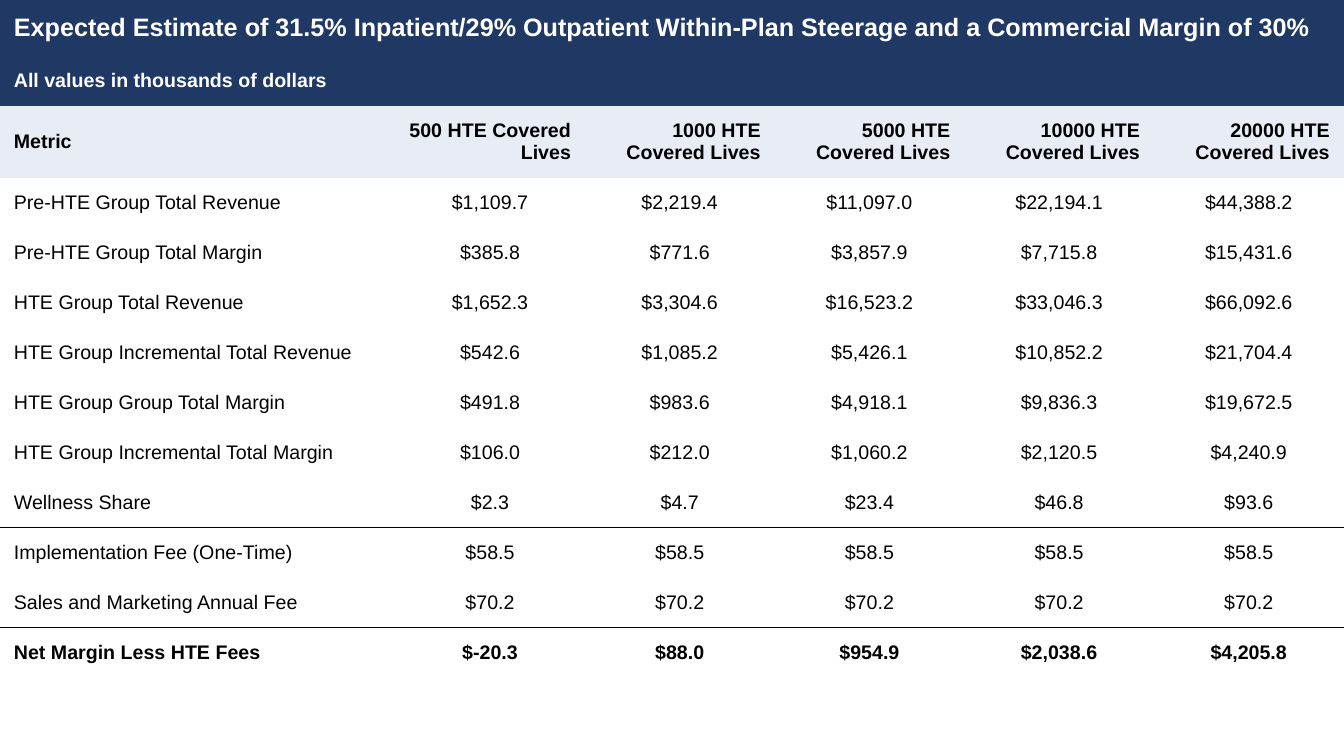
from lxml.etree import SubElement
from pptx import Presentation
from pptx.dml.color import RGBColor
from pptx.enum.text import MSO_ANCHOR as ANCHOR, PP_ALIGN as ALIGN
from pptx.oxml.ns import qn
from pptx.util import Cm, Pt

TITLE = ("Expected Estimate of 31.5% Inpatient/29% Outpatient Within-Plan Steerage "
         "and a Commercial Margin of 30%")
SUBTITLE = "All values in thousands of dollars"
LIVES = [500, 1000, 5000, 10000, 20000]
METRICS = [
    ("Pre-HTE Group Total Revenue", "$1,109.7", "$2,219.4", "$11,097.0", "$22,194.1", "$44,388.2"),
    ("Pre-HTE Group Total Margin", "$385.8", "$771.6", "$3,857.9", "$7,715.8", "$15,431.6"),
    ("HTE Group Total Revenue", "$1,652.3", "$3,304.6", "$16,523.2", "$33,046.3", "$66,092.6"),
    ("HTE Group Incremental Total Revenue", "$542.6", "$1,085.2", "$5,426.1", "$10,852.2", "$21,704.4"),
    ("HTE Group Group Total Margin", "$491.8", "$983.6", "$4,918.1", "$9,836.3", "$19,672.5"),
    ("HTE Group Incremental Total Margin", "$106.0", "$212.0", "$1,060.2", "$2,120.5", "$4,240.9"),
    ("Wellness Share", "$2.3", "$4.7", "$23.4", "$46.8", "$93.6"),
    ("Implementation Fee (One-Time)",) + ("$58.5",) * 5,
    ("Sales and Marketing Annual Fee",) + ("$70.2",) * 5,
    ("Net Margin Less HTE Fees", "$-20.3", "$88.0", "$954.9", "$2,038.6", "$4,205.8"),
]
RULED = {"Wellness Share", "Sales and Marketing Annual Fee"}
NAVY, PALE, BLACK, WHITE = "203864", "E7ECF5", "000000", "FFFFFF"


def rgb(value):
    """Turn a hex string into a colour."""
    return RGBColor.from_string(value)


def set_borders(cell, ruled_sides):
    """Draw thin black lines on the ruled sides and none on the others."""
    tc_pr = cell._tc.get_or_add_tcPr()
    for side in "LRTB":
        ln = SubElement(tc_pr, qn(f"a:ln{side}"), w=str(Pt(1)))
        if side in ruled_sides:
            fill = SubElement(ln, qn("a:solidFill"))
            SubElement(fill, qn("a:srgbClr"), val=BLACK)
        else:
            SubElement(ln, qn("a:noFill"))


def style_cell(cell, fill=None, ruled_sides=""):
    """Set the borders, fill, margins and anchor of a cell."""
    set_borders(cell, ruled_sides)
    if fill:
        cell.fill.solid()
        cell.fill.fore_color.rgb = rgb(fill)
    else:
        cell.fill.background()
    cell.margin_left = cell.margin_right = Cm(0.35)
    cell.margin_top = cell.margin_bottom = 0
    cell.vertical_anchor = ANCHOR.MIDDLE


def write_cell(cell, text, align=ALIGN.LEFT, size=14, color=BLACK, bold=False):
    """Write one run of text into a cell."""
    p = cell.text_frame.paragraphs[0]
    p.alignment = align
    r = p.add_run()
    r.text = text
    r.font.name, r.font.size, r.font.bold = "Arial", Pt(size), bold
    r.font.color.rgb = rgb(color)


def add_banner(row, text, size):
    """Fill a whole table row with one navy heading."""
    for cell in row:
        style_cell(cell, NAVY)
    row[0].merge(row[-1])
    write_cell(row[0], text, size=size, color=WHITE, bold=True)


def add_row(row, texts, align, bold=False, fill=None, ruled_sides=""):
    """Fill a table row with a label and its aligned values."""
    for i, (cell, text) in enumerate(zip(row, texts)):
        style_cell(cell, fill, ruled_sides)
        write_cell(cell, text, align if i else ALIGN.LEFT, bold=bold)


def add_grid(s, widths, heights):
    """Add a plain table and return its cells row by row."""
    table = s.shapes.add_table(len(heights), len(widths), 0, 0,
                               Cm(sum(widths)), Cm(sum(heights))).table
    table.first_row = table.horz_banding = False
    for column, width in zip(table.columns, widths):
        column.width = Cm(width)
    for row, height in zip(table.rows, heights):
        row.height = Cm(height)
    return [list(row.cells) for row in table.rows]


def main():
    """Build the margin estimate slide."""
    prs = Presentation()
    prs.slide_width, prs.slide_height = Cm(33.87), Cm(19.05)
    s = prs.slides.add_slide(prs.slide_layouts[6])
    title, subtitle, header, *body = add_grid(
        s, [9.96] + [4.78] * len(LIVES), [1.41, 1.26, 1.81] + [1.26] * len(METRICS))
    add_banner(title, TITLE, 18)
    add_banner(subtitle, SUBTITLE, 14)
    add_row(header, ["Metric"] + [f"{n} HTE Covered Lives" for n in LIVES],
            ALIGN.RIGHT, bold=True, fill=PALE)
    previous = None
    for row, metric in zip(body, METRICS):
        sides = "T" * (previous in RULED) + "B" * (metric[0] in RULED)
        add_row(row, metric, ALIGN.CENTER, bold=metric is METRICS[-1], ruled_sides=sides)
        previous = metric[0]
    prs.save("out.pptx")


if __name__ == "__main__":
    main()
